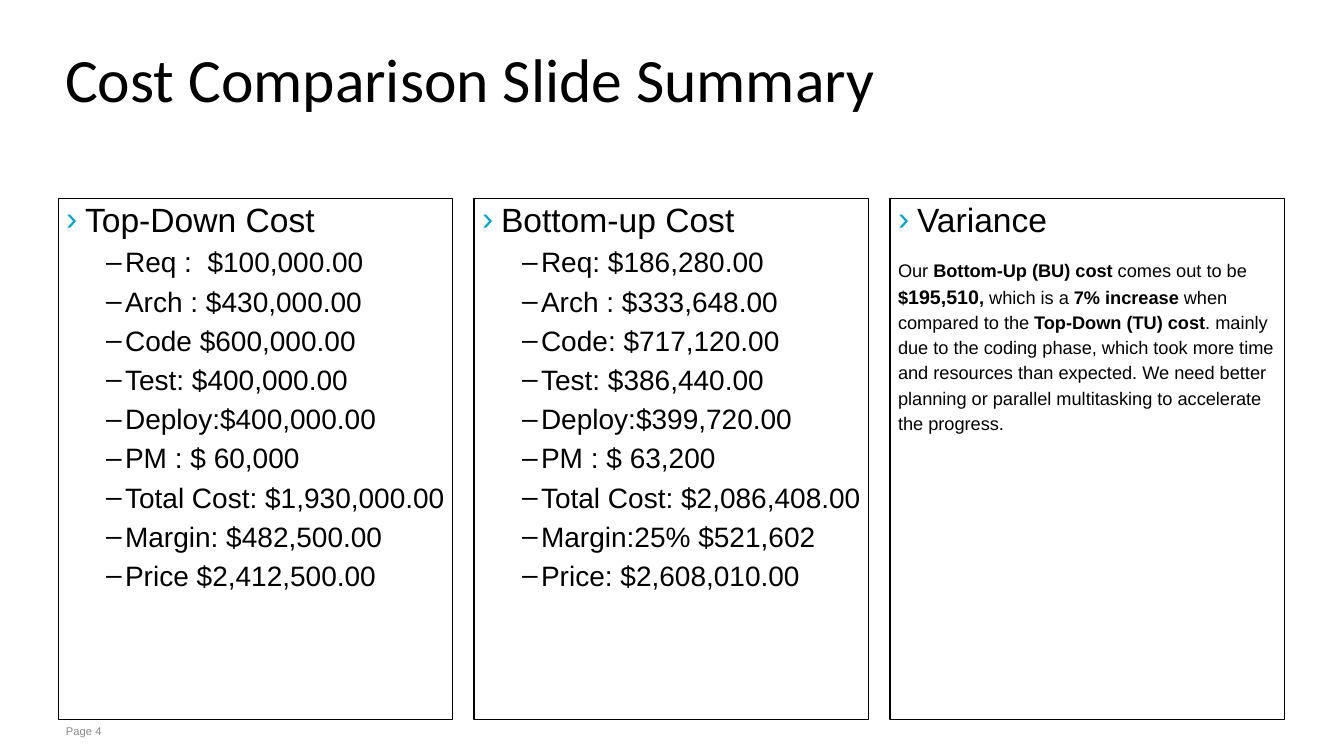
from dataclasses import dataclass

from lxml.etree import SubElement
from pptx import Presentation
from pptx.dml.color import RGBColor
from pptx.enum.shapes import MSO_SHAPE as Shape
from pptx.enum.text import MSO_ANCHOR as Anchor, MSO_AUTO_SIZE as AutoSize, PP_ALIGN as Align
from pptx.oxml.ns import qn
from pptx.util import Emu, Pt

EMU_PER_PX = 914400 / 100.8
BLACK, CYAN, GRAY = "000000", "00A9D4", "87888A"
COLUMN_LEFT, COLUMN_TOP, COLUMN_WIDTH, COLUMN_HEIGHT = 58, 199, 395, 521
COLUMN_PITCH = 416
HANGING, ITEM_INDENT = 19, 59


@dataclass(frozen=True)
class Span:
    text: str
    bold: bool = False
    size: int = 13


@dataclass(frozen=True)
class Column:
    heading: str
    items: tuple[str, ...] = ()
    body: tuple[Span, ...] = ()


COLUMNS = (
    Column("Top-Down Cost", items=(
        "Req :  $100,000.00", "Arch : $430,000.00", "Code $600,000.00",
        "Test: $400,000.00", "Deploy:$400,000.00", "PM : $ 60,000",
        "Total Cost: $1,930,000.00", "Margin: $482,500.00", "Price $2,412,500.00")),
    Column("Bottom-up Cost", items=(
        "Req: $186,280.00", "Arch : $333,648.00", "Code: $717,120.00",
        "Test: $386,440.00", "Deploy:$399,720.00", "PM : $ 63,200",
        "Total Cost: $2,086,408.00", "Margin:25% $521,602", "Price: $2,608,010.00")),
    Column("Variance", body=(
        Span("Our "), Span("Bottom-Up (BU) cost", True), Span(" comes out to be "),
        Span("$", True), Span("195,510", True, 14), Span(", ", True),
        Span("which is a "), Span("7% increase", True),
        Span(" when compared to the "), Span("Top-Down (TU) cost", True),
        Span(". mainly due to the coding phase, which took more time and resources "
             "than expected. We need better planning or parallel multitasking to "
             "accelerate the progress."))),
)


def px(length: int) -> Emu:
    """Turn a length in px into EMU."""
    return Emu(round(length * EMU_PER_PX))


def color(value: str) -> RGBColor:
    """Turn a hex string into a colour."""
    return RGBColor.from_string(value)


def add_text(paragraph, text: str, *, size: int, font: str = "Arial",
             fill: str = BLACK, bold: bool = False) -> None:
    """Add one formatted run to a paragraph."""
    run = paragraph.add_run()
    run.text = text
    run.font.size, run.font.name, run.font.bold = Pt(size), font, bold
    run.font.color.rgb = color(fill)


def add_bullet(paragraph, mark: str, fill: str, indent: int) -> None:
    """Give a paragraph a coloured bullet with a hanging indent."""
    properties = paragraph._p.get_or_add_pPr()
    properties.set("marL", str(px(indent)))
    properties.set("indent", str(-px(HANGING)))
    bullet_color = SubElement(properties, qn("a:buClr"))
    SubElement(bullet_color, qn("a:srgbClr")).set("val", fill)
    SubElement(properties, qn("a:buFont")).set("typeface", "Arial")
    SubElement(properties, qn("a:buChar")).set("char", mark)


def prepare_frame(frame, *, anchor: Anchor, vertical_margin: int = 0) -> None:
    """Set wrapping, anchor and margins of a text frame."""
    frame.word_wrap, frame.auto_size = True, AutoSize.NONE
    frame.vertical_anchor = anchor
    frame.margin_left = frame.margin_right = px(8)
    frame.margin_top = frame.margin_bottom = px(vertical_margin)


def add_column(slide, column: Column, left: int) -> None:
    """Draw one outlined column with its heading and content."""
    shape = slide.shapes.add_shape(
        Shape.RECTANGLE, px(left), px(COLUMN_TOP), px(COLUMN_WIDTH), px(COLUMN_HEIGHT))
    shape.shadow.inherit = False
    shape.fill.background()
    shape.line.color.rgb, shape.line.width = color(BLACK), Pt(0.75)
    frame = shape.text_frame
    prepare_frame(frame, anchor=Anchor.TOP)
    heading = frame.paragraphs[0]
    heading.alignment = Align.LEFT
    add_bullet(heading, "›", CYAN, HANGING)
    add_text(heading, column.heading, size=24)
    for item in column.items:
        paragraph = frame.add_paragraph()
        paragraph.level, paragraph.alignment = 1, Align.LEFT
        paragraph.space_before = Pt(4)
        add_bullet(paragraph, "–", BLACK, ITEM_INDENT)
        add_text(paragraph, item, size=20)
    if column.body:
        paragraph = frame.add_paragraph()
        paragraph.alignment = Align.LEFT
        paragraph.line_spacing, paragraph.space_before = 1.15, Pt(12)
        for span in column.body:
            add_text(paragraph, span.text, size=span.size, bold=span.bold)


def set_title(slide, text: str) -> None:
    """Place and format the title placeholder."""
    title = slide.shapes.title
    title.left, title.top, title.width, title.height = px(57), px(26), px(1102), px(120)
    prepare_frame(title.text_frame, anchor=Anchor.MIDDLE)
    paragraph = title.text_frame.paragraphs[0]
    paragraph.alignment, paragraph.line_spacing = Align.LEFT, 0.75
    add_text(paragraph, text, size=44, font="Calibri")


def add_page_label(slide, text: str) -> None:
    """Add the page label at the foot of the slide."""
    box = slide.shapes.add_textbox(px(58), px(719), px(1088), px(24))
    prepare_frame(box.text_frame, anchor=Anchor.TOP, vertical_margin=5)
    add_text(box.text_frame.paragraphs[0], text, size=8, fill=GRAY)


def main() -> None:
    """Build the slide and save it."""
    presentation = Presentation()
    presentation.slide_width, presentation.slide_height = px(1344), px(756)
    slide = presentation.slides.add_slide(presentation.slide_layouts[5])
    set_title(slide, "Cost Comparison Slide Summary")
    for index, column in enumerate(COLUMNS):
        add_column(slide, column, COLUMN_LEFT + index * COLUMN_PITCH)
    add_page_label(slide, "Page 4")
    presentation.save("out.pptx")


if __name__ == "__main__":
    main()
